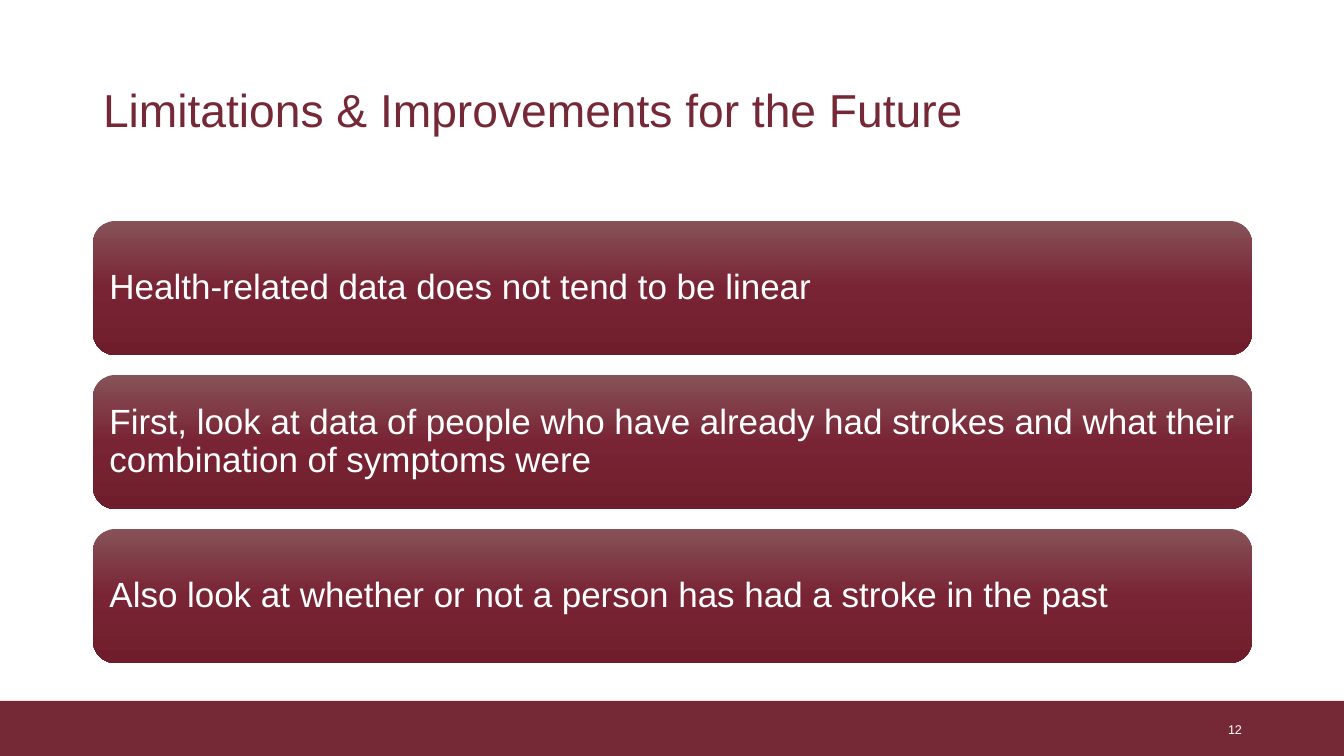
"""Build the slide on limitations and future improvements."""
from copy import deepcopy

from pptx import Presentation
from pptx.dml.color import RGBColor
from pptx.enum.shapes import MSO_SHAPE
from pptx.enum.text import MSO_ANCHOR, MSO_AUTO_SIZE, PP_ALIGN
from pptx.oxml.ns import qn
from pptx.util import Emu, Pt

MAROON = RGBColor(0x75, 0x28, 0x36)
WHITE = RGBColor(0xFF, 0xFF, 0xFF)
CARD_STOPS = (
    (0, RGBColor(0x86, 0x52, 0x58)),
    (0.5, RGBColor(0x79, 0x24, 0x34)),
    (1, RGBColor(0x6F, 0x1D, 0x2C)),
)
WIDTH, HEIGHT = 1344, 756
EMU_PER_PX = 12192000 / WIDTH
LEFT, CONTENT_WIDTH = 93, 1159
CARD_TOP, CARD_HEIGHT, CARD_PITCH = 221, 134, 154
POINTS = (
    "Health-related data does not tend to be linear",
    "First, look at data of people who have already had strokes "
    "and what their combination of symptoms were",
    "Also look at whether or not a person has had a stroke in the past",
)


def px(length):
    return Emu(round(length * EMU_PER_PX))


def write(frame, text, *, size, color, font="Arial", align=PP_ALIGN.LEFT,
          line_spacing=None, space_after=0, inset=None):
    frame.word_wrap = True
    frame.auto_size = MSO_AUTO_SIZE.NONE
    frame.vertical_anchor = MSO_ANCHOR.MIDDLE
    if inset is not None:
        frame.margin_left = frame.margin_right = px(inset)
        frame.margin_top = frame.margin_bottom = px(inset)
    paragraph = frame.paragraphs[0]
    paragraph.alignment = align
    paragraph.line_spacing = line_spacing
    paragraph.space_before = Pt(0)
    paragraph.space_after = Pt(space_after)
    run = paragraph.add_run()
    run.text = text
    run.font.name = font
    run.font.size = Pt(size)
    run.font.color.rgb = color


class Deck:
    def __init__(self):
        self.presentation = Presentation()
        self.presentation.slide_width = px(WIDTH)
        self.presentation.slide_height = px(HEIGHT)
        self.slide = self.presentation.slides.add_slide(
            self.presentation.slide_layouts[5])

    def block(self, kind, left, top, width, height):
        block = self.slide.shapes.add_shape(
            kind, px(left), px(top), px(width), px(height))
        block.shadow.inherit = False
        block.line.fill.background()
        return block

    def footer_band(self, top):
        band = self.block(MSO_SHAPE.RECTANGLE, 0, top, WIDTH, HEIGHT - top)
        band.fill.solid()
        band.fill.fore_color.rgb = MAROON

    def title(self, text, left, top, width, height):
        title = self.slide.shapes.title
        title.left, title.top = px(left), px(top)
        title.width, title.height = px(width), px(height)
        write(title.text_frame, text, size=33, color=MAROON, line_spacing=0.9)

    def page_number(self, text, left, top, width, height):
        number = self.slide.shapes.add_textbox(
            px(left), px(top), px(width), px(height))
        write(number.text_frame, text, size=9, color=WHITE,
              align=PP_ALIGN.RIGHT, space_after=6)

    def card(self, text, left, top, width, height):
        card = self.block(MSO_SHAPE.ROUNDED_RECTANGLE, left, top, width, height)
        card.fill.gradient()
        card.fill.gradient_angle = 270
        stop_list = card._element.spPr.find(qn("a:gradFill")).find(qn("a:gsLst"))
        stop_list.append(deepcopy(stop_list[-1]))
        for stop, (position, color) in zip(card.fill.gradient_stops, CARD_STOPS):
            stop.position = position
            stop.color.rgb = color
        write(card.text_frame, text, size=25, color=WHITE,
              line_spacing=0.9, space_after=9, inset=10)


def main():
    deck = Deck()
    deck.footer_band(701)
    deck.title("Limitations & Improvements for the Future",
               LEFT, 40, CONTENT_WIDTH, 146)
    deck.page_number("12", 950, 709, 302, 40)
    for index, point in enumerate(POINTS):
        deck.card(point, LEFT, CARD_TOP + index * CARD_PITCH,
                  CONTENT_WIDTH, CARD_HEIGHT)
    deck.presentation.save("out.pptx")


if __name__ == "__main__":
    main()
